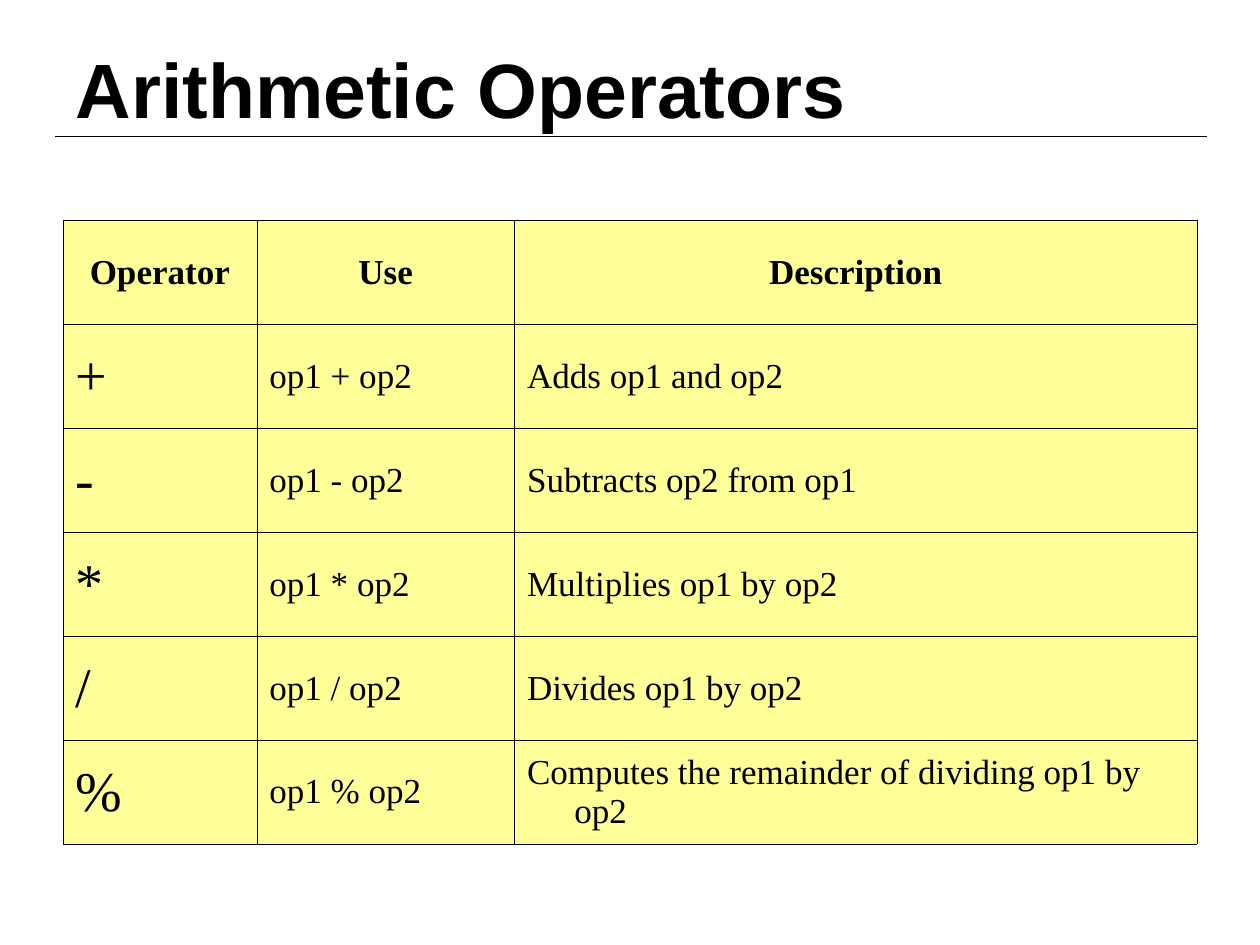
from lxml import etree
from pptx import Presentation
from pptx.dml.color import RGBColor
from pptx.enum.shapes import MSO_CONNECTOR
from pptx.enum.text import MSO_ANCHOR, MSO_AUTO_SIZE, PP_ALIGN
from pptx.oxml import parse_xml
from pptx.oxml.ns import qn
from pptx.util import Pt

LEFT, CENTER = PP_ALIGN.LEFT, PP_ALIGN.CENTER
MIDDLE = MSO_ANCHOR.MIDDLE
NO_FIT = MSO_AUTO_SIZE.NONE
STRAIGHT = MSO_CONNECTOR.STRAIGHT
COLORS = {"ink": "000000", "cell": "FFFF99"}
NS = "http://schemas.openxmlformats.org/drawingml/2006/main"


def write(frame, text, size=20, face="Times New Roman", bold=False,
          align=LEFT, hang=0):
    para = frame.paragraphs[0]
    para.alignment = align
    if hang:
        props = para._p.get_or_add_pPr()
        props.set("marL", str(Pt(hang)))
        props.set("indent", str(-Pt(hang)))
    run = para.add_run()
    run.text = text
    run.font.size = Pt(size)
    run.font.name = face
    run.font.bold = bold
    run.font.color.rgb = RGBColor.from_string(COLORS["ink"])


def border(cell, width):
    props = cell._tc.get_or_add_tcPr()
    for side in ("lnL", "lnR", "lnT", "lnB"):
        props.append(parse_xml(
            f'<a:{side} xmlns:a="{NS}" w="{Pt(width)}"><a:solidFill>'
            f'<a:srgbClr val="{COLORS["ink"]}"/></a:solidFill></a:{side}>'))


deck = Presentation()
deck.slide_width, deck.slide_height = Pt(720), Pt(540)
slide = deck.slides.add_slide(deck.slide_layouts[5])

# Rule under the title
rule = slide.shapes.add_connector(STRAIGHT, Pt(31.5), Pt(78), Pt(690), Pt(78))
rule.line.color.rgb = RGBColor.from_string(COLORS["ink"])
rule.line.width = Pt(0.75)
etree.SubElement(rule._element.spPr, qn("a:effectLst"))

# Title
title = slide.shapes.title
title.left, title.top = Pt(36), Pt(21.6)
title.width, title.height = Pt(648), Pt(57)
title.text_frame.auto_size = NO_FIT
title.text_frame.vertical_anchor = MIDDLE
write(title.text_frame, "Arithmetic Operators", size=44, face="Arial", bold=True)

# Table of operators
rows = [
    ("Operator", "Use", "Description"),
    ("+", "op1 + op2", "Adds op1 and op2"),
    ("-", "op1 - op2", "Subtracts op2 from op1"),
    ("*", "op1 * op2", "Multiplies op1 by op2"),
    ("/", "op1 / op2", "Divides op1 by op2"),
    ("%", "op1 % op2", "Computes the remainder of dividing op1 by op2"),
]
widths = (110.75, 147.25, 390)
high = 59.4
table = slide.shapes.add_table(len(rows), len(widths), Pt(36), Pt(126),
                               Pt(sum(widths)), Pt(high * len(rows))).table
for col, width in zip(table.columns, widths):
    col.width = Pt(width)
for r, row in enumerate(rows):
    table.rows[r].height = Pt(high)
    head = r == 0
    for c, text in enumerate(row):
        cell = table.cell(r, c)
        cell.vertical_anchor = MIDDLE
        border(cell, 0.34)
        cell.fill.solid()
        cell.fill.fore_color.rgb = RGBColor.from_string(COLORS["cell"])
        write(cell.text_frame, text, size=32 if c == 0 and not head else 20,
              bold=head, align=CENTER if head else LEFT, hang=27)

deck.save("out.pptx")
